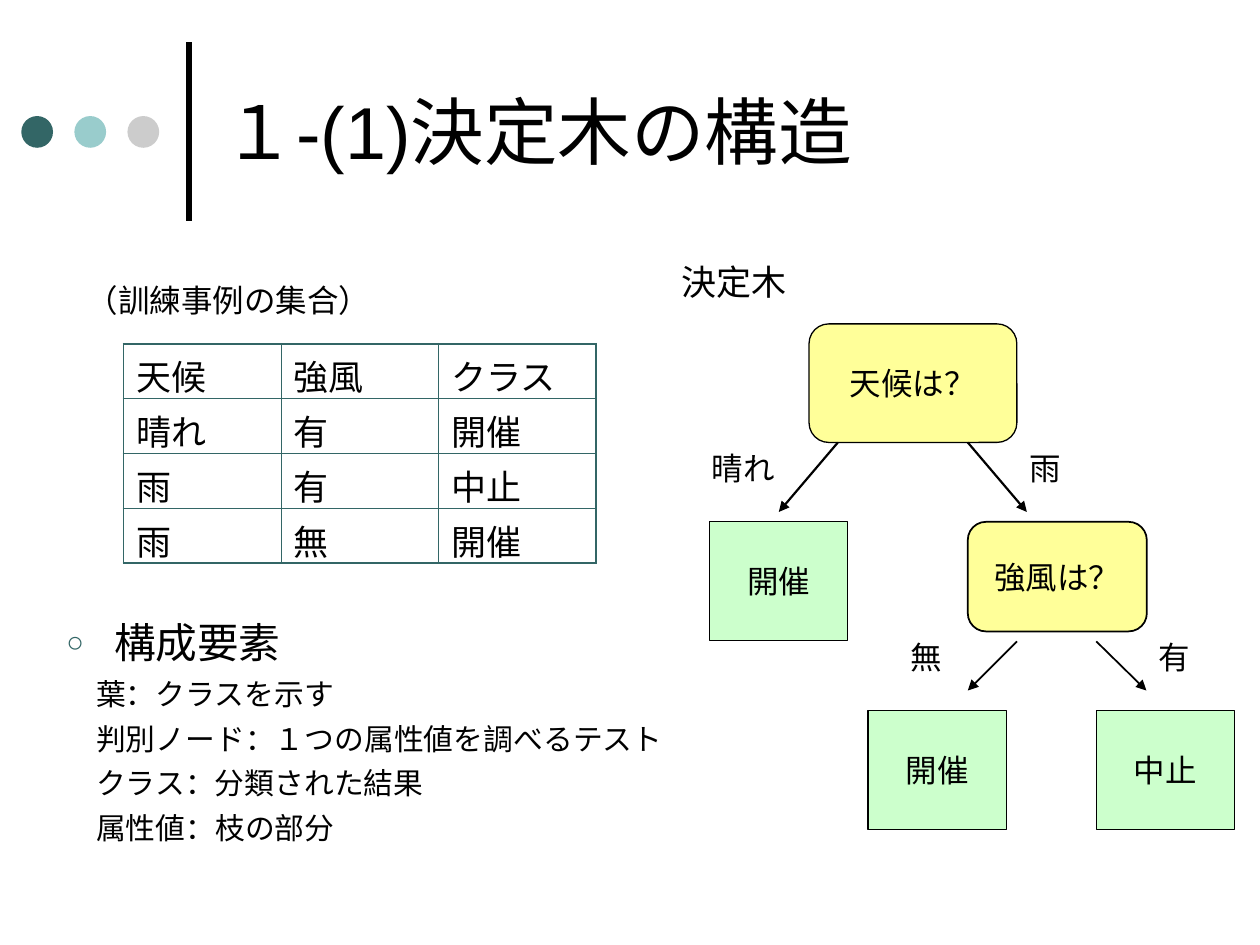
from dataclasses import dataclass
from lxml.etree import SubElement
from pptx import Presentation
from pptx.dml.color import RGBColor
from pptx.enum.shapes import MSO_CONNECTOR, MSO_SHAPE
from pptx.enum.text import MSO_ANCHOR, PP_ALIGN
from pptx.oxml.ns import qn
from pptx.slide import Slide
from pptx.util import Cm, Pt

COLORS = {
    "ink": "000000", "teal": "336666", "aqua": "99CCCC", "gray": "CCCCCC",
    "leaf": "CCFFCC", "node": "FFFF99",
}


def color(name):
    return RGBColor.from_string(COLORS[name])


def apply(target, values):
    for name, value in values.items():
        setattr(target, name, value)


@dataclass
class Board:
    """Style and drawing methods for one slide."""
    page: Slide
    font: str = "Arial"
    size: float = 18

    def fill_para(self, para, text, size=None, **layout):
        span = para.add_run()
        span.text = text
        apply(span.font, {"name": self.font, "size": Pt(size or self.size)})
        span.font.color.rgb = color("ink")
        apply(para, layout)

    def text(self, place, text, size=None, anchor=MSO_ANCHOR.TOP):
        box = self.page.shapes.add_textbox(*map(Cm, place))
        apply(box.text_frame, {"word_wrap": True, "vertical_anchor": anchor})
        self.fill_para(box.text_frame.paragraphs[0], text, size)
        return box.text_frame

    def shape(self, kind, place, fill, text=None, width=0.75):
        box = self.page.shapes.add_shape(kind, *map(Cm, place))
        box.shadow.inherit = False
        box.fill.solid()
        box.fill.fore_color.rgb = color(fill)
        if text is None:
            box.line.fill.background()
            return
        box.line.color.rgb = color("ink")
        box.line.width = Pt(width)
        apply(box.text_frame, {"word_wrap": False, "vertical_anchor": MSO_ANCHOR.MIDDLE})
        self.fill_para(box.text_frame.paragraphs[0], text, alignment=PP_ALIGN.CENTER)

    def line(self, ends, width, arrow=True):
        line = self.page.shapes.add_connector(MSO_CONNECTOR.STRAIGHT, *map(Cm, ends))
        line.line.color.rgb = color("ink")
        line.line.width = Pt(width)
        props = line._element.spPr
        if arrow:
            SubElement(props.get_or_add_ln(), qn("a:tailEnd"), type="triangle")
        SubElement(props, qn("a:effectLst"))

    def bullet(self, para, sign, tone, percent):
        props = para._p.get_or_add_pPr()
        for name, value in {"marL": Cm(0.96), "indent": Cm(-0.96)}.items():
            props.set(name, str(value))
        tint = SubElement(props, qn("a:buClr"))
        SubElement(tint, qn("a:srgbClr"), val=COLORS[tone])
        SubElement(props, qn("a:buSzPct"), val=str(percent * 1000))
        SubElement(props, qn("a:buFont"), typeface=self.font)
        SubElement(props, qn("a:buChar"), char=sign)

    def border(self, cell, side, width):
        edge = SubElement(cell._tc.get_or_add_tcPr(), qn(f"a:ln{side}"), w=str(Pt(width)))
        fill = SubElement(edge, qn("a:solidFill"))
        SubElement(fill, qn("a:srgbClr"), val=COLORS["teal"])

    def table(self, place, rows, size):
        last_row, last_column = len(rows) - 1, len(rows[0]) - 1
        frame = self.page.shapes.add_table(len(rows), len(rows[0]), *map(Cm, place))
        apply(frame.table, {"first_row": False, "horz_banding": False})
        for r, row in enumerate(rows):
            for c, text in enumerate(row):
                cell = frame.table.cell(r, c)
                outer = {"L": c == 0, "R": c == last_column, "T": r == 0, "B": r == last_row}
                for side, is_outer in outer.items():
                    self.border(cell, side, 1.08 if is_outer else 0.45)
                cell.fill.background()
                self.fill_para(cell.text_frame.paragraphs[0], text, size, space_before=Pt(5))


deck = Presentation()
apply(deck, {"slide_width": Cm(25.4), "slide_height": Cm(19.05)})
board = Board(deck.slides.add_slide(deck.slide_layouts[6]))

# Title with its rule and dots
board.line((3.81, 4.45, 3.81, 0.84), 3, arrow=False)
for i, tone in enumerate(("teal", "aqua", "gray")):
    board.shape(MSO_SHAPE.OVAL, (0.43 + i * 1.07, 2.34, 0.64, 0.64), tone)
board.text((4.24, 0.53, 15.27, 4.19), "１-(1)決定木の構造", 42, MSO_ANCHOR.MIDDLE)

# Training examples
board.text((1.5, 5.54, 6.45, 1.02), "（訓練事例の集合）")
board.table((2.49, 6.93, 9.53, 4.42), [
    ("天候", "強風", "クラス"),
    ("晴れ", "有", "開催"),
    ("雨", "有", "中止"),
    ("雨", "無", "開催"),
], 20)

# Components
parts = board.text((1.09, 12.32, 13.59, 5.79), "構成要素", 23.8)
parts.paragraphs[0].space_before = Pt(7)
board.bullet(parts.paragraphs[0], "○", "teal", 70)
for entry in ("葉：クラスを示す", "判別ノード：１つの属性値を調べるテスト",
              "クラス：分類された結果", "属性値：枝の部分"):
    para = parts.add_paragraph()
    board.fill_para(para, entry, 17, space_before=Pt(5))
    para._p.get_or_add_pPr().set("marL", str(Cm(0.6)))

# Decision tree: nodes and leaves
board.text((13.49, 5.13, 10.21, 1.12), "決定木", 20)
board.shape(MSO_SHAPE.ROUNDED_RECTANGLE, (16.31, 6.53, 4.19, 2.39), "node", "天候は？")
board.shape(MSO_SHAPE.ROUNDED_RECTANGLE, (19.51, 10.52, 3.61, 2.21), "node", "強風は？", 1)
for left, top, result in ((14.3, 10.52, "開催"), (17.5, 14.33, "開催"), (22.1, 14.33, "中止")):
    board.shape(MSO_SHAPE.RECTANGLE, (left, top, 2.79, 2.39), "leaf", result)

# Decision tree: branches
for ends, width in (((16.89, 8.92, 15.7, 10.32), 1.25), ((19.51, 8.92, 20.7, 10.32), 1.25),
                    ((20.5, 12.93, 19.51, 13.92), 1), ((22.1, 12.93, 23.11, 13.92), 1)):
    board.line(ends, width)
for left, top, width, value in ((14.1, 8.92, 2.59, "晴れ"), (20.5, 8.92, 2.21, "雨"),
                                (18.11, 12.73, 1.4, "無"), (23.11, 12.73, 1.4, "有")):
    board.text((left, top, width, 1.02), value)

deck.save("out.pptx")
